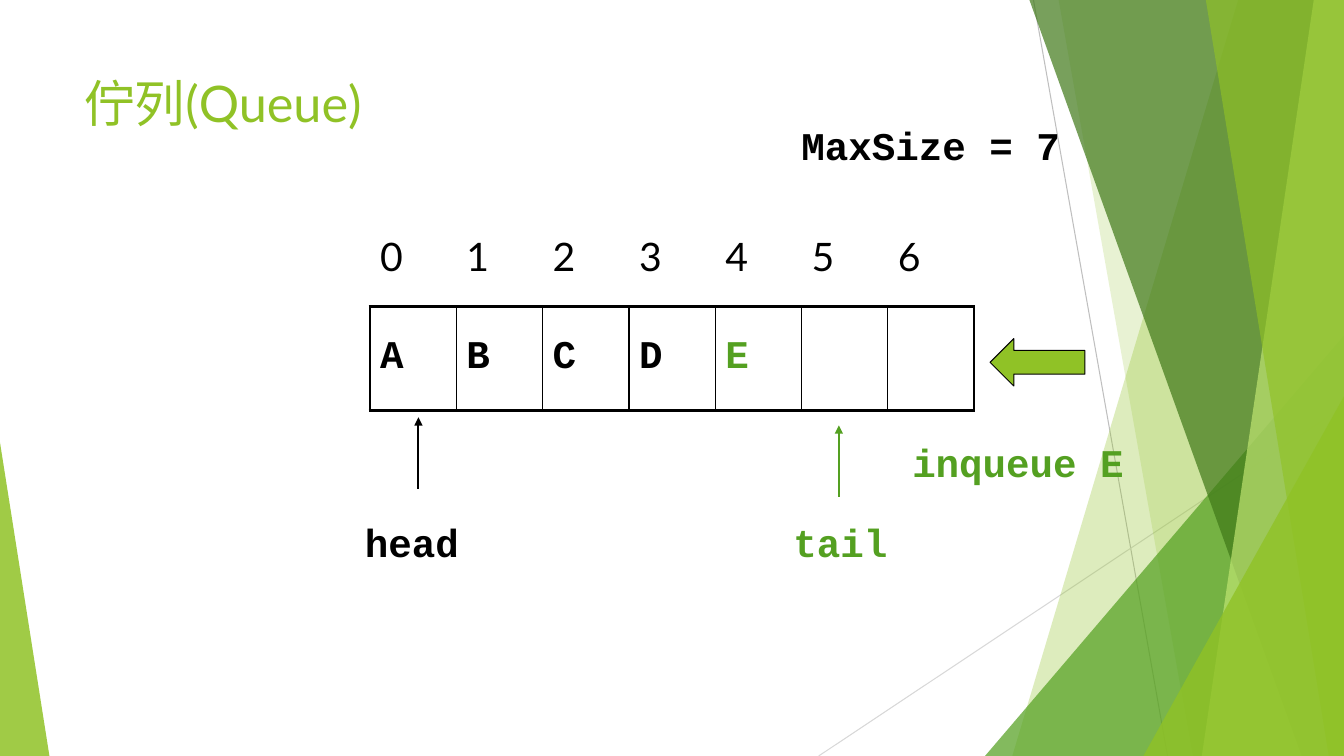
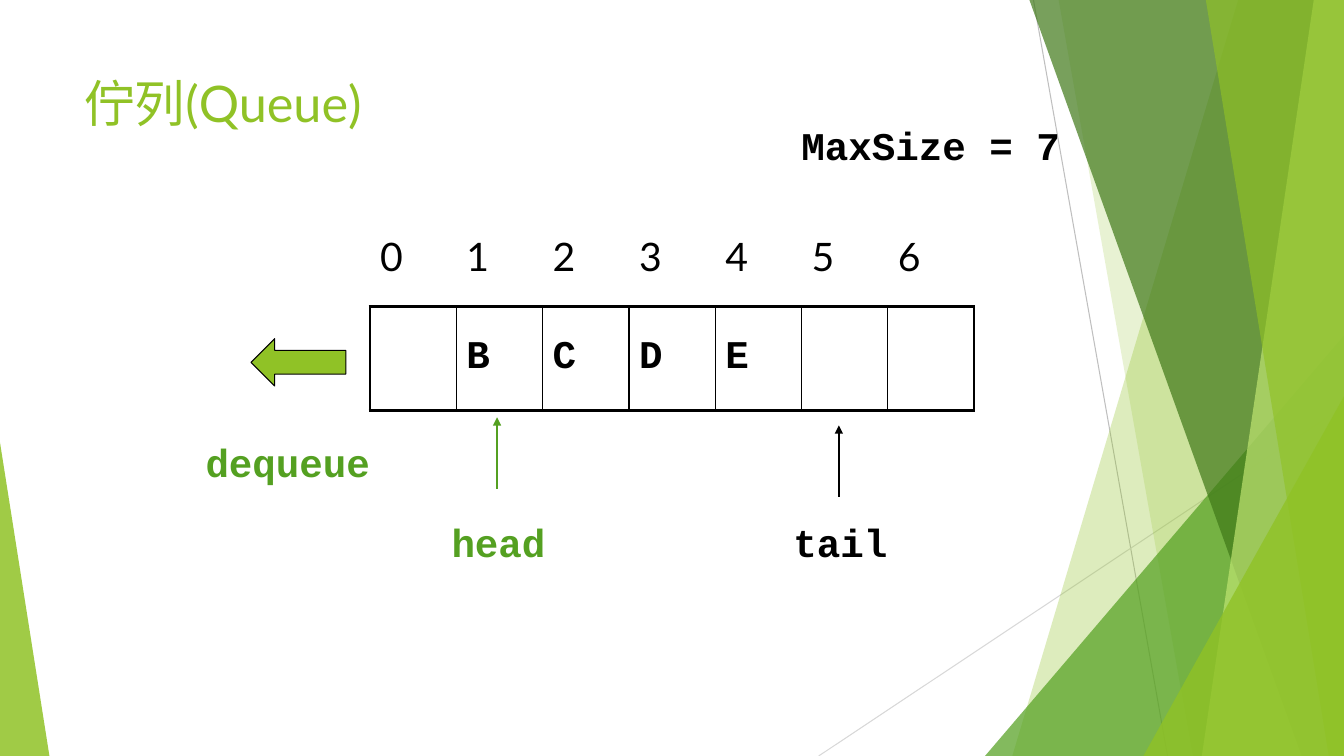
from lxml import etree
from pptx import Presentation
from pptx.dml.color import RGBColor
from pptx.enum.shapes import MSO_CONNECTOR, MSO_SHAPE
from pptx.enum.text import MSO_ANCHOR
from pptx.oxml.ns import qn
from pptx.util import Inches, Pt

LINE = MSO_CONNECTOR.STRAIGHT
TRIANGLE = MSO_SHAPE.ISOSCELES_TRIANGLE
ARROW = MSO_SHAPE.LEFT_ARROW
MIDDLE = MSO_ANCHOR.MIDDLE

WIDE, HIGH = 13.33, 7.5
LIME, GREEN, DARK, PALE, BLACK = "90C226", "54A021", "3F7818", "BFE471", "000000"
CODE, BODY = "Courier New", "Lato"
TITLE = [("佇列", "Calibri"), ("(Queue)", BODY)]

# Background: rays are (top x, bottom x, colour, opacity), reaching the right edge;
# wedges are (left, top, width, apex, colour, opacity), standing on the bottom edge
THREADS = [(10.25, 0, 11.58, HIGH, "BFBFBF"), (WIDE, 4.03, 8.12, HIGH, "D8D8D8")]
DECOR = [
    ("ray", 12.28, 10.04, LIME, 30),
    ("ray", 10.5, 11.83, LIME, 20),
    ("wedge", 9.77, 3.33, 3.56, 1, GREEN, 72),
    ("ray", 10.21, 12.91, DARK, 70),
    ("ray", 13.03, 11.92, PALE, 70),
    ("ray", 11.96, 13.18, LIME, 65),
    ("wedge", 11.34, 3.93, 1.99, 1, LIME, 80),
    ("wedge", 0, 4.39, 0.49, 0, LIME, 85),
]

# Queue geometry
SIZE, LEFT, CELL = 7, 3.67, 0.856
INDEX_TOP, INDEX_HIGH = 2.18, 0.72
QUEUE_TOP, QUEUE_HIGH = 3.04, 1.03
LABEL_TOP, LABEL_HIGH, LABEL_WIDE = 5.09, 0.57, 1.42
STEM = 0.71

# Each mark is (name, label left, pointer x, pointer tip y)
STEPS = [
    {"cells": "ABCDE  ", "new": "E", "moved": "tail",
     "marks": [("head", 3.52, 4.15, 4.14), ("tail", 7.77, 8.32, 4.22)],
     "action": ("inqueue E", 8.95, 2.44), "arrow": 9.82},
    {"cells": " BCDE  ", "new": "", "moved": "head",
     "marks": [("head", 4.38, 4.93, 4.14), ("tail", 7.77, 8.32, 4.22)],
     "action": ("dequeue", 1.94, 2.05), "arrow": 2.49},
]


def rgb(color):
    return RGBColor.from_string(color)


def style(run, font, size=28, color=BLACK, bold=False):
    run.font.name, run.font.size, run.font.bold = font, Pt(size), bold
    run.font.color.rgb = rgb(color)


def add_box(slide, left, top, wide, high):
    frame = slide.shapes.add_textbox(*map(Inches, (left, top, wide, high))).text_frame
    frame.word_wrap = True
    return frame


def add_label(slide, text, left, top, wide, color=BLACK):
    frame = add_box(slide, left, top, wide, LABEL_HIGH)
    frame.text = text
    style(frame.paragraphs[0].runs[0], CODE, color=color, bold=True)


def add_line(slide, x1, y1, x2, y2, color, width, tip=False):
    line = slide.shapes.add_connector(LINE, *map(Inches, (x1, y1, x2, y2)))
    line.line.color.rgb, line.line.width = rgb(color), Pt(width)
    props = line._element.spPr
    if tip:
        etree.SubElement(props.find(qn("a:ln")), qn("a:tailEnd"), type="triangle")
    etree.SubElement(props, qn("a:effectLst"))


def paint(shape, color, alpha=100):
    shape.shadow.inherit = False
    shape.fill.solid()
    shape.fill.fore_color.rgb = rgb(color)
    shape.line.fill.background()
    if alpha < 100:
        tint = shape._element.spPr.find(qn("a:solidFill"))[0]
        etree.SubElement(tint, qn("a:alpha"), val=str(alpha * 1000))


def add_ray(slide, top, foot, color, alpha):
    points = [(Inches(x), Inches(y)) for x, y in
              ((top, 0), (WIDE, 0), (WIDE, HIGH), (foot, HIGH))]
    pen = slide.shapes.build_freeform(*points[0])
    pen.add_line_segments(points[1:], close=True)
    paint(pen.convert_to_shape(), color, alpha)


def add_wedge(slide, left, top, wide, apex, color, alpha):
    shape = slide.shapes.add_shape(TRIANGLE, *map(Inches, (left, top, wide, HIGH - top)))
    shape.adjustments[0] = apex
    paint(shape, color, alpha)


def add_frame(slide):
    """Background and title shared by all slides."""
    for thread in THREADS:
        add_line(slide, *thread, 0.75)
    for kind, *spec in DECOR:
        (add_ray if kind == "ray" else add_wedge)(slide, *spec)
    para = add_box(slide, 0.74, 0.67, 9.4, 1.44).paragraphs[0]
    for text, font in TITLE:
        run = para.add_run()
        run.text = text
        style(run, font, 36, LIME)


def add_border(cell, side, width):
    edge = etree.SubElement(cell._tc.get_or_add_tcPr(), qn("a:ln" + side),
                            w=str(Pt(width)))
    fill = etree.SubElement(edge, qn("a:solidFill"))
    etree.SubElement(fill, qn("a:srgbClr"), val=BLACK)


def add_row(slide, items, top, high, font, new="", grid=False):
    shape = slide.shapes.add_table(1, SIZE, *map(Inches, (LEFT, top, CELL * SIZE, high)))
    table = shape.table
    table.first_row = table.horz_banding = False
    for i, text in enumerate(items):
        table.columns[i].width = Inches(CELL)
        cell = table.cell(0, i)
        cell.vertical_anchor = MIDDLE
        if grid:
            add_border(cell, "L", 2.25 if i == 0 else 1)
            add_border(cell, "R", 2.25 if i == SIZE - 1 else 1)
            add_border(cell, "T", 2.25)
            add_border(cell, "B", 2.25)
        cell.fill.background()
        if text.strip():
            cell.text_frame.text = text
            style(cell.text_frame.paragraphs[0].runs[0], font,
                  color=GREEN if text == new else BLACK, bold=grid)


def add_step(slide, step):
    add_label(slide, "MaxSize = 7", 7.85, 1.15, 2.99)
    add_row(slide, map(str, range(SIZE)), INDEX_TOP, INDEX_HIGH, BODY)
    add_row(slide, step["cells"], QUEUE_TOP, QUEUE_HIGH, CODE, step["new"], True)
    # Head and tail pointers
    for name, left, x, tip in step["marks"]:
        color, width = (GREEN, 1) if name == step["moved"] else (BLACK, 1.5)
        add_label(slide, name, left, LABEL_TOP, LABEL_WIDE, color)
        add_line(slide, x, tip + STEM, x, tip, color, width, True)
    # Operation
    text, left, wide = step["action"]
    add_label(slide, text, left, 4.3, wide, GREEN)
    arrow = slide.shapes.add_shape(ARROW, *map(Inches, (step["arrow"], 3.36, 0.94, 0.47)))
    paint(arrow, LIME)
    arrow.line.color.rgb, arrow.line.width = rgb(BLACK), Pt(0.75)


def main():
    deck = Presentation()
    deck.slide_width, deck.slide_height = Inches(WIDE), Inches(HIGH)
    for step in STEPS:
        slide = deck.slides.add_slide(deck.slide_layouts[6])
        add_frame(slide)
        add_step(slide, step)
    deck.save("out.pptx")


if __name__ == "__main__":
    main()
